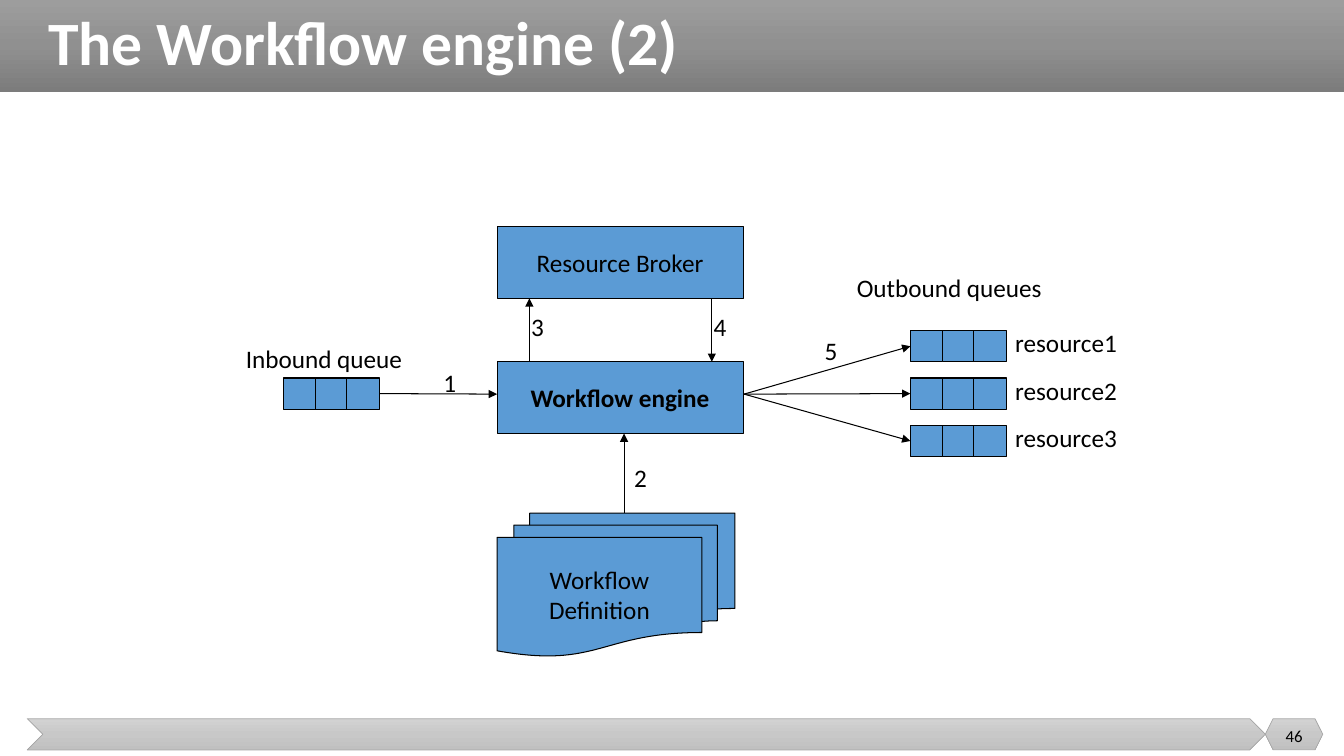
from copy import deepcopy

from pptx import Presentation
from pptx.dml.color import RGBColor
from pptx.enum.shapes import MSO_CONNECTOR, MSO_SHAPE
from pptx.enum.text import MSO_ANCHOR, MSO_AUTO_SIZE, PP_ALIGN
from pptx.oxml.ns import qn
from pptx.util import Inches, Pt

BLACK = RGBColor(0x00, 0x00, 0x00)
WHITE = RGBColor(0xFF, 0xFF, 0xFF)
BLUE = RGBColor(0x5B, 0x9B, 0xD5)
EDGE = RGBColor(0xA5, 0xA5, 0xA5)
DARK = [RGBColor(0x9D, 0x9D, 0x9D), RGBColor(0x90, 0x90, 0x90), RGBColor(0x7C, 0x7C, 0x7C)]
LIGHT = [RGBColor(0xD2, 0xD2, 0xD2), RGBColor(0xC8, 0xC8, 0xC8), RGBColor(0xC0, 0xC0, 0xC0)]

TITLE = "The Workflow engine (2)"
PAGE = "46"
BODY = {"name": "Calibri", "size": Pt(18), "bold": False}
STRONG = {**BODY, "bold": True}
SMALL = {**BODY, "size": Pt(12)}
HEAD = {"name": "Calibri", "size": Pt(44), "bold": True}

BANDS = [
    (MSO_SHAPE.RECTANGLE, (0, 0, 13.33, 0.91), DARK, None),
    (MSO_SHAPE.CHEVRON, (0.27, 7.13, 12.28, 0.31), LIGHT, EDGE),
    (MSO_SHAPE.HEXAGON, (12.55, 7.13, 0.57, 0.31), LIGHT, EDGE),
]
BOXES = [
    (MSO_SHAPE.FLOWCHART_PROCESS, (4.93, 2.25, 2.44, 0.71), ["Resource Broker"], BODY),
    (MSO_SHAPE.FLOWCHART_PROCESS, (4.93, 3.59, 2.44, 0.71), ["Workflow engine"], STRONG),
    (MSO_SHAPE.FLOWCHART_MULTIDOCUMENT, (4.93, 5.09, 2.36, 1.42),
     ["Workflow", "Definition"], BODY),
]
LABELS = [
    ("Inbound queue", 2.34, 3.36, 1.97),
    ("Outbound queues", 8.4, 2.65, 2.44),
    ("1", 4.3, 3.59, 0.47),
    ("2", 6.19, 4.54, 0.47),
    ("3", 5.17, 3.04, 0.47),
    ("4", 6.98, 3.04, 0.47),
    ("5", 8.08, 3.28, 0.47),
]
ARROWS = [  # broker request, broker reply, definition
    ((5.25, 3.59), (5.25, 2.96)),
    ((7.06, 2.96), (7.06, 3.59)),
    ((6.19, 5.09), (6.19, 4.3)),
]
RESOURCES = ["resource1", "resource2", "resource3"]
CELL_W, CELL_H, STEP = 0.32, 0.31, 0.315
IN_X, OUT_X, MID_Y, ROW = 2.81, 9.03, 3.75, 0.47
FLOW_Y = 3.91
LEFT, RIGHT = 1, 3

prs = Presentation()
prs.slide_width, prs.slide_height = Inches(13.33), Inches(7.5)
slide = prs.slides.add_slide(prs.slide_layouts[5])
shapes = slide.shapes


def write(frame, lines, style, color=BLACK, align=PP_ALIGN.LEFT):
    frame.text = "\n".join(lines)
    for para in frame.paragraphs:
        para.alignment = align
        for key, value in style.items():
            setattr(para.font, key, value)
        para.font.color.rgb = color


def label(text, x, y, w, style=BODY, align=PP_ALIGN.LEFT, anchor=MSO_ANCHOR.TOP):
    frame = shapes.add_textbox(*map(Inches, (x, y, w, 0.4))).text_frame
    frame.word_wrap = True
    frame.vertical_anchor = anchor
    write(frame, [text], style, align=align)


def block(kind, place):
    shape = shapes.add_shape(kind, *map(Inches, place))
    shape.shadow.inherit = False
    shape.fill.solid()
    shape.fill.fore_color.rgb = BLUE
    shape.line.color.rgb = BLACK
    shape.line.width = Pt(0.75)
    return shape


def shade(shape, colors):
    """Fill with a three-stop gradient running downwards."""
    shape.fill.gradient()
    shape.fill.gradient_angle = 270
    stops = shape.element.find(".//" + qn("a:gsLst"))
    stops.insert(1, deepcopy(stops[0]))
    for i, stop in enumerate(shape.fill.gradient_stops):
        stop.position = i / 2
        stop.color.rgb = colors[i]


def queue(x, y):
    """Draw three cells in a row and return them from left to right."""
    return [block(MSO_SHAPE.RECTANGLE, (x + i * STEP, y, CELL_W, CELL_H)) for i in range(3)]


def arrow(start, end):
    line = shapes.add_connector(MSO_CONNECTOR.STRAIGHT, *map(Inches, (*start, *end)))
    line.line.color.rgb = BLACK
    line.line.width = Pt(0.75)
    tip = line.line._get_or_add_ln().makeelement(qn("a:tailEnd"), {"type": "triangle"})
    props = line.element.find(qn("p:spPr"))
    props.find(qn("a:ln")).append(tip)
    props.append(props.makeelement(qn("a:effectLst"), {}))
    return line


for kind, place, colors, edge in BANDS:
    band = block(kind, place)
    shade(band, colors)
    if edge is None:
        band.line.fill.background()
    else:
        band.line.color.rgb = edge
        band.line.width = Pt(0.5)

title = shapes.title
title.left, title.top, title.width, title.height = map(Inches, (0.38, 0, 12.74, 0.91))
write(title.text_frame, [TITLE], HEAD, WHITE)
title.text_frame.vertical_anchor = MSO_ANCHOR.MIDDLE
title.text_frame.auto_size = MSO_AUTO_SIZE.NONE
title.text_frame.paragraphs[0].line_spacing = 0.9
title.element.getparent().append(title.element)  # in front of its band

for kind, place, lines, style in BOXES:
    frame = block(kind, place).text_frame
    frame.word_wrap = False
    frame.vertical_anchor = MSO_ANCHOR.MIDDLE
    write(frame, lines, style, align=PP_ALIGN.CENTER)

for i, name in enumerate(RESOURCES):
    y = MID_Y + (i - 1) * ROW
    cells = queue(OUT_X, y)
    arrow((7.38, FLOW_Y), (OUT_X, y + CELL_H / 2)).end_connect(cells[0], LEFT)
    label(name, 9.97, y - 0.08, 1.42)

cells = queue(IN_X, MID_Y)
arrow((3.75, FLOW_Y), (4.93, FLOW_Y)).begin_connect(cells[-1], RIGHT)

for start, end in ARROWS:
    arrow(start, end)
for item in LABELS:
    label(*item)
label(PAGE, 12.55, 7.1, 0.57, SMALL, PP_ALIGN.CENTER, MSO_ANCHOR.MIDDLE)

prs.save("out.pptx")
